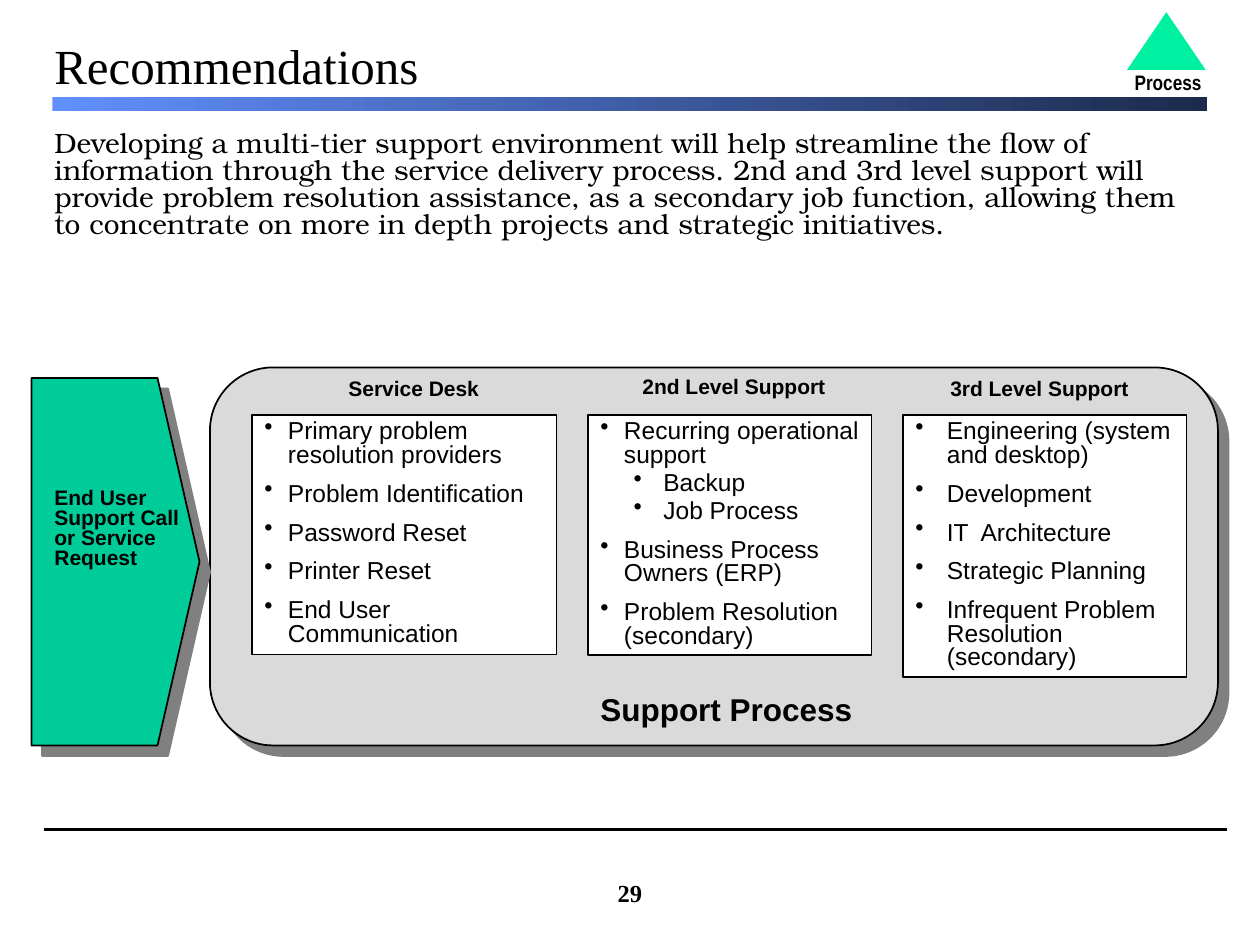
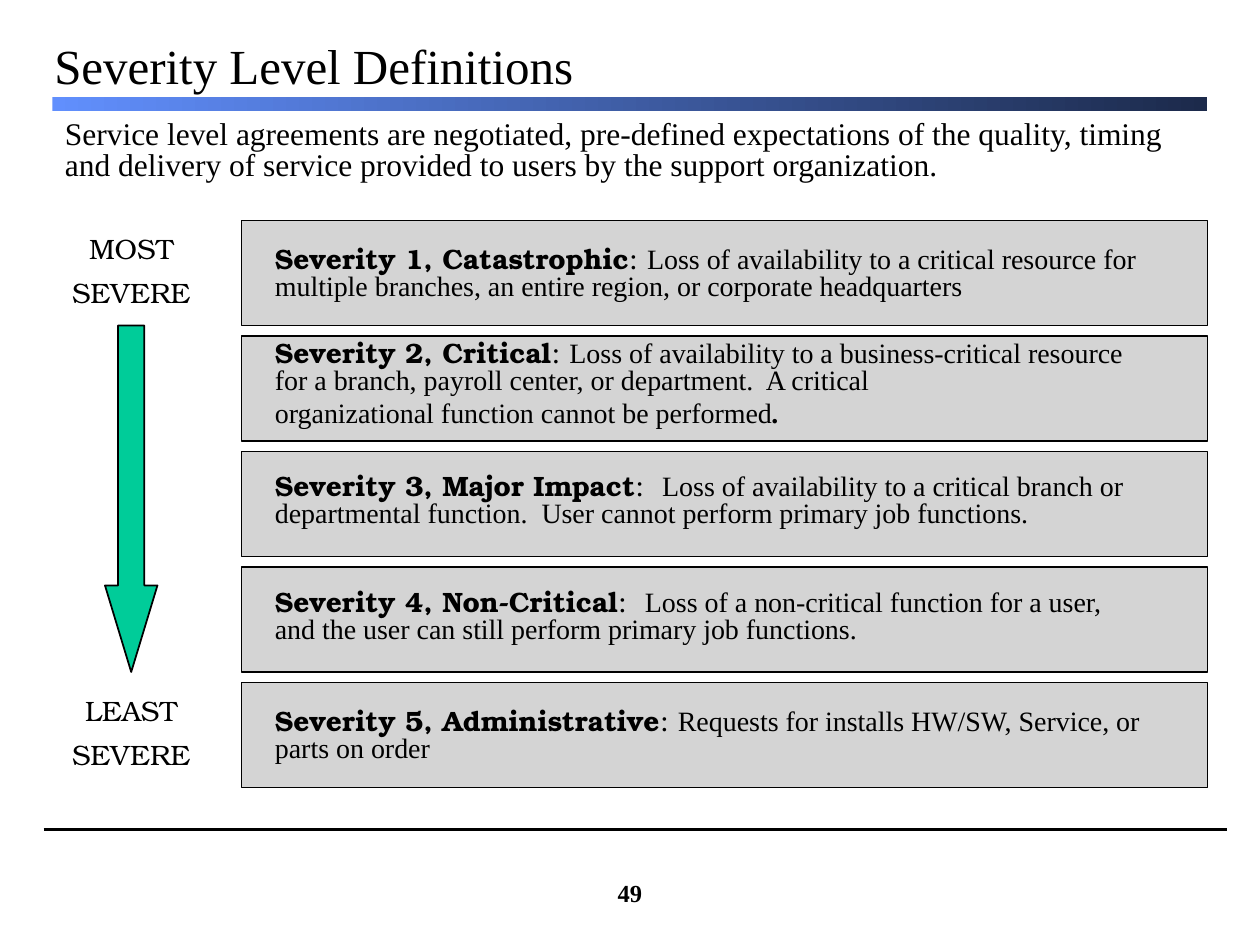
from lxml import etree
from pptx import Presentation
from pptx.dml.color import RGBColor
from pptx.enum.shapes import MSO_CONNECTOR, MSO_SHAPE
from pptx.enum.text import MSO_ANCHOR, MSO_AUTO_SIZE, PP_ALIGN
from pptx.oxml.ns import qn
from pptx.util import Pt

LEFT, CENTER = PP_ALIGN.LEFT, PP_ALIGN.CENTER
TOP, BOTTOM = MSO_ANCHOR.TOP, MSO_ANCHOR.BOTTOM
NO_FIT = MSO_AUTO_SIZE.NONE
RECT, ROUNDED = MSO_SHAPE.RECTANGLE, MSO_SHAPE.ROUNDED_RECTANGLE
TRIANGLE, DOWN_ARROW = MSO_SHAPE.ISOSCELES_TRIANGLE, MSO_SHAPE.DOWN_ARROW
STRAIGHT = MSO_CONNECTOR.STRAIGHT

SERIF, SLAB, SANS, NARROW = "Times New Roman", "TeX Gyre Bonum", "Arial", "Arial Narrow"
BLACK, WHITE, GREEN, SHADOW = "000000", "FFFFFF", "00CC99", "808080"
PANEL_GRAY, BAR_GRAY, MINT = "DADADA", "D4D4D4", "00F0A2"
BAND_START, BAND_END = "618FFD", "1C2A4B"


def color(code):
    return RGBColor.from_string(code)


def write(box, text, para=None, font=SANS, size=14, bold=False, italic=False,
          align=LEFT, spacing=0.8, before=0, bullet=None, anchor=TOP, inset=(7.2, 3.6)):
    """Add a paragraph to the box, or a span to the given paragraph."""
    frame = box.text_frame
    if para is None:
        para = frame.paragraphs[0]
        if para.runs:
            para = frame.add_paragraph()
            para.space_before = Pt(before)
        else:
            frame.word_wrap, frame.auto_size = True, NO_FIT
            frame.vertical_anchor = anchor
            frame.margin_left = frame.margin_right = Pt(inset[0])
            frame.margin_top = frame.margin_bottom = Pt(inset[1])
        para.alignment, para.line_spacing = align, spacing
        if bullet:
            margin, hanging = bullet
            props = para._p.get_or_add_pPr()
            props.set("marL", str(Pt(margin)))
            props.set("indent", str(Pt(-hanging)))
            tint = etree.SubElement(props, qn("a:buClr"))
            etree.SubElement(tint, qn("a:srgbClr"), val=BLACK)
            etree.SubElement(props, qn("a:buChar"), char="•")
    span = para.add_run()
    span.text = text
    span.font.name, span.font.size = font, Pt(size)
    span.font.bold, span.font.italic = bold, italic
    span.font.color.rgb = color(BLACK)
    return para


deck = Presentation()
deck.slide_width, deck.slide_height = Pt(720), Pt(540)

# Shared frame: rule, gradient band, title and page number
pages = []
for heading, number in [("Recommendations", "29"), ("Severity Level Definitions", "49")]:
    page = deck.slides.add_slide(deck.slide_layouts[5])
    pages.append(page)
    rule = page.shapes.add_connector(STRAIGHT, Pt(25), Pt(474), Pt(701), Pt(474))
    rule.line.color.rgb, rule.line.width = color(BLACK), Pt(2)
    etree.SubElement(rule._element.spPr, qn("a:effectLst"))

    band = page.shapes.add_shape(RECT, Pt(30), Pt(55.5), Pt(660), Pt(8))
    band.shadow.inherit = False
    band.line.fill.background()
    band.fill.gradient()
    band.fill.gradient_angle = 0
    for stop, code in zip(band.fill.gradient_stops, (BAND_START, BAND_END)):
        stop.color.rgb = color(code)

    title = page.shapes.title
    title.left, title.top, title.width, title.height = Pt(31), Pt(18), Pt(648), Pt(36)
    write(title, heading, font=SERIF, size=28, spacing=1.0, anchor=BOTTOM, inset=(0, 0))
    box = page.shapes.add_textbox(Pt(306), Pt(498), Pt(108), Pt(36))
    write(box, number, font=SERIF, bold=True, align=CENTER, spacing=1.0)

support, severity = pages
solids = []  # (shape, fill, outlined, shadowed)

# Recommendations: support process panel and caller arrow
panel = support.shapes.add_shape(ROUNDED, Pt(120), Pt(210), Pt(576), Pt(216))
panel.adjustments[0] = 0.167
solids.append((panel, PANEL_GRAY, True, True))

outline = support.shapes.build_freeform(Pt(18), Pt(216))
outline.add_line_segments([(Pt(x), Pt(y)) for x, y in
                           [(90, 216), (114, 321), (90, 426), (18, 426)]])
solids.append((outline.convert_to_shape(), GREEN, True, True))

# Labels: text, left, top, width, height, format
intro = ("Developing a multi-tier support environment will help streamline the flow of "
         "information through the service delivery process. 2nd and 3rd level support will "
         "provide problem resolution assistance, as a secondary job function, allowing them "
         "to concentrate on more in depth projects and strategic initiatives.")
label = dict(size=12, bold=True)
for text, left, top, width, height, style in [
    ("Support Process", 336, 395, 168, 25, dict(size=18, bold=True)),
    ("Service Desk", 192, 214, 120, 19, label),
    ("2nd Level Support", 360, 212.5, 126, 19, label),
    ("3rd Level Support", 528, 214, 132, 19, dict(label, align=CENTER)),
    ("End User Support Call or Service Request", 24, 276, 96, 53, label),
    (intro, 24, 72, 666, 69, dict(font=SLAB, size=16)),
    ("Process", 630, 36, 75, 22, dict(label, font=NARROW, align=CENTER, spacing=1.0)),
]:
    box = support.shapes.add_textbox(Pt(left), Pt(top), Pt(width), Pt(height))
    write(box, text, **style)

# Duties of each support level; (margin, hanging) sets the bullet indent
SUB_BULLET = (36, 17)
for left, width, height, indent, duties in [
    (144, 174, 137, 13.5, ["Primary problem resolution providers", "Problem Identification",
                           "Password Reset", "Printer Reset", "End User Communication"]),
    (336, 162, 137.5, 13.5, ["Recurring operational support", ["Backup", "Job Process"],
                             "Business Process Owners (ERP)",
                             "Problem Resolution (secondary)"]),
    (516, 162, 150, 18, ["Engineering (system and desktop)", "Development",
                         "IT  Architecture", "Strategic Planning",
                         "Infrequent Problem Resolution (secondary)"]),
]:
    box = support.shapes.add_shape(RECT, Pt(left), Pt(237), Pt(width), Pt(height))
    solids.append((box, WHITE, True, False))
    for duty in duties:
        if isinstance(duty, list):
            for task in duty:
                write(box, task, before=2.6, bullet=SUB_BULLET).level = 1
        else:
            write(box, duty, before=8.8, bullet=(indent, indent))

# Section marker
marker = support.shapes.add_shape(TRIANGLE, Pt(644), Pt(7), Pt(45), Pt(33))
solids.append((marker, MINT, False, False))

# Severity levels: name, separator, definition, text top, text width
levels = [
    ("Severity 1, Catastrophic", ": ", "Loss of availability to a critical resource for "
     "multiple branches, an entire region, or corporate headquarters", 138, 522),
    ("Severity 2, Critical", ": ", "Loss of availability to a business-critical resource "
     "for a branch, payroll center, or department.  A critical", 192, 516),
    ("Severity 3, Major Impact", ":  ", "Loss of availability to a critical branch or "
     "departmental function.  User cannot perform primary job functions.", 268, 522),
    ("Severity 4, Non-Critical", ":  ", "Loss of a non-critical function for a user,  "
     "and the user can still perform primary job functions.", 334, 510),
    ("Severity 5, Administrative", ": ", "Requests for installs HW/SW, Service, or "
     "parts on order", 402, 516),
]
for index, (name, separator, definition, top, width) in enumerate(levels):
    bar = severity.shapes.add_shape(RECT, Pt(138), Pt(126 + 66 * index), Pt(552), Pt(60))
    solids.append((bar, BAR_GRAY, True, False))
    box = severity.shapes.add_textbox(Pt(150), Pt(top), Pt(width), Pt(38))
    para = write(box, name, font=SLAB, size=16, bold=True)
    write(box, separator, para, font=SLAB, size=16)
    write(box, definition, para, font=SERIF, size=16)
    if index == 1:
        box.height = Pt(57.5)
        para = write(box, "organizational function cannot be performed",
                     font=SERIF, size=16, spacing=1.0)
        write(box, ".", para, font=SERIF, size=16, bold=True, italic=True)

# Severity scale
arrow = severity.shapes.add_shape(DOWN_ARROW, Pt(60), Pt(186), Pt(30), Pt(198))
arrow.adjustments[0], arrow.adjustments[1] = 0.5, 1.65
solids.append((arrow, GREEN, True, False))
for extreme, top in [("MOST", 132.5), ("LEAST", 396.5)]:
    box = severity.shapes.add_textbox(Pt(30), Pt(top), Pt(90), Pt(48))
    for word in (extreme, "SEVERE"):
        write(box, word, font=SLAB, size=16, align=CENTER, before=10)

box = severity.shapes.add_textbox(Pt(30), Pt(66), Pt(660), Pt(42))
write(box, "Service level agreements are negotiated, pre-defined expectations of the quality, "
      "timing and delivery of service provided to users by the support organization.",
      font=SERIF, size=18)

# Fill, outline and shadow of every solid shape
for shape, fill, outlined, shadowed in solids:
    shape.shadow.inherit = False
    shape.fill.solid()
    shape.fill.fore_color.rgb = color(fill)
    if outlined:
        shape.line.color.rgb, shape.line.width = color(BLACK), Pt(1)
    else:
        shape.line.fill.background()
    if shadowed:
        effects = shape._element.spPr.find(qn("a:effectLst"))
        cast = etree.SubElement(effects, qn("a:outerShdw"), dist=str(Pt(8.5)),
                                dir="2700000", algn="ctr", rotWithShape="0")
        etree.SubElement(cast, qn("a:srgbClr"), val=SHADOW)

deck.save("out.pptx")
